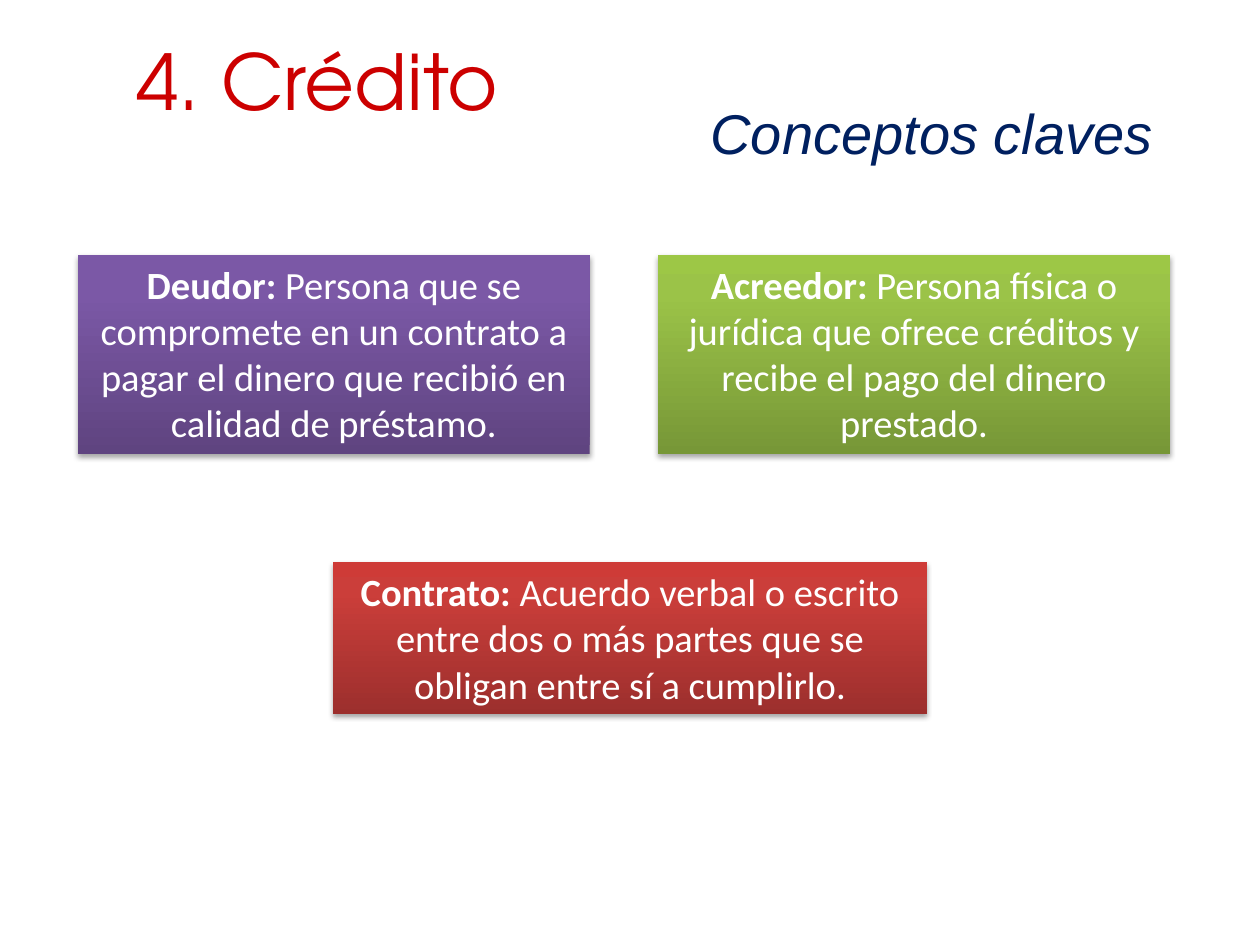
import copy

import pptx
import pptx.util
from lxml import etree
from pptx.dml.color import RGBColor
from pptx.enum.shapes import MSO_SHAPE
from pptx.enum.text import MSO_ANCHOR, PP_ALIGN
from pptx.oxml.ns import qn
from pptx.util import Inches

RED = RGBColor(0xCC, 0x00, 0x00)
NAVY = RGBColor(0x00, 0x20, 0x60)
WHITE = RGBColor(0xFF, 0xFF, 0xFF)
PURPLE = (RGBColor(0x5F, 0x44, 0x80), RGBColor(0x7B, 0x58, 0xA6), RGBColor(0x7C, 0x57, 0xA8))
GREEN = (RGBColor(0x77, 0x97, 0x37), RGBColor(0x9B, 0xC3, 0x48), RGBColor(0x9D, 0xC7, 0x46))
BRICK = (RGBColor(0x9C, 0x2F, 0x2D), RGBColor(0xCB, 0x3E, 0x3A), RGBColor(0xCE, 0x3B, 0x37))
STOPS = (0, 0.8, 1)

TITLE = "4. Crédito"
SUBTITLE = "Conceptos claves"
# term, meaning, gradient from bottom to top, (left, top, width, height)
TERMS = [
    ("Deudor:", "Persona que se compromete en un contrato a pagar el dinero "
     "que recibió en calidad de préstamo.", PURPLE, (0.62, 2.02, 4.06, 1.58)),
    ("Acreedor:", "Persona física o jurídica que ofrece créditos y recibe el pago "
     "del dinero prestado.", GREEN, (5.22, 2.02, 4.07, 1.58)),
    ("Contrato:", "Acuerdo verbal o escrito entre dos o más partes que se obligan "
     "entre sí a cumplirlo.", BRICK, (2.64, 4.46, 4.72, 1.21)),
]


def style(font, name, size, color):
    font.name, font.size = name, pptx.util.Pt(size)
    font.color.rgb = color


def put_line(shape, text, align, name, size, color):
    """Fill a heading shape with one middle-anchored line."""
    frame = shape.text_frame
    frame.word_wrap = True
    frame.vertical_anchor = MSO_ANCHOR.MIDDLE
    frame.text = text
    frame.paragraphs[0].alignment = align
    run = frame.paragraphs[0].runs[0]
    style(run.font, name, size, color)
    return run


def shade(box, colors):
    """Give the box a vertical three-stop gradient."""
    box.fill.gradient()
    box.fill.gradient_angle = 90
    stops = box._element.spPr.find(".//" + qn("a:gsLst"))
    stops.append(copy.deepcopy(stops[-1]))
    for stop, color, place in zip(box.fill.gradient_stops, colors, STOPS):
        stop.color.rgb = color
        stop.position = place


def drop_shadow(box):
    box.shadow.inherit = False
    effects = box._element.spPr.find(qn("a:effectLst"))
    shadow = etree.SubElement(effects, qn("a:outerShdw"), blurRad="40000",
                              dist="23000", dir="5400000", rotWithShape="0")
    black = etree.SubElement(shadow, qn("a:srgbClr"), val="000000")
    etree.SubElement(black, qn("a:alpha"), val="35000")


def add_term(slide, term, meaning, colors, place):
    box = slide.shapes.add_shape(MSO_SHAPE.RECTANGLE, *map(Inches, place))
    shade(box, colors)
    box.line.fill.background()
    drop_shadow(box)
    frame = box.text_frame
    frame.word_wrap = True
    frame.vertical_anchor = MSO_ANCHOR.TOP
    para = frame.paragraphs[0]
    para.alignment = PP_ALIGN.CENTER
    for text, bold in ((term + " ", True), (meaning, False)):
        run = para.add_run()
        run.text = text
        style(run.font, "Calibri", 22, WHITE)
        run.font.bold = bold


def main():
    deck = pptx.Presentation()
    deck.slide_width, deck.slide_height = Inches(10), Inches(7.5)
    slide = deck.slides.add_slide(deck.slide_layouts[5])

    title = slide.shapes.title
    title.left, title.top, title.width, title.height = map(Inches, (0.98, 0.21, 3.36, 0.85))
    put_line(title, TITLE, PP_ALIGN.LEFT, "TeX Gyre Adventor", 44, RED)

    sub = slide.shapes.add_textbox(*map(Inches, (3.5, 0.76, 5.75, 0.58)))
    put_line(sub, SUBTITLE, PP_ALIGN.RIGHT, "Arial", 32, NAVY).font.italic = True

    for term in TERMS:
        add_term(slide, *term)
    deck.save("out.pptx")


if __name__ == "__main__":
    main()
